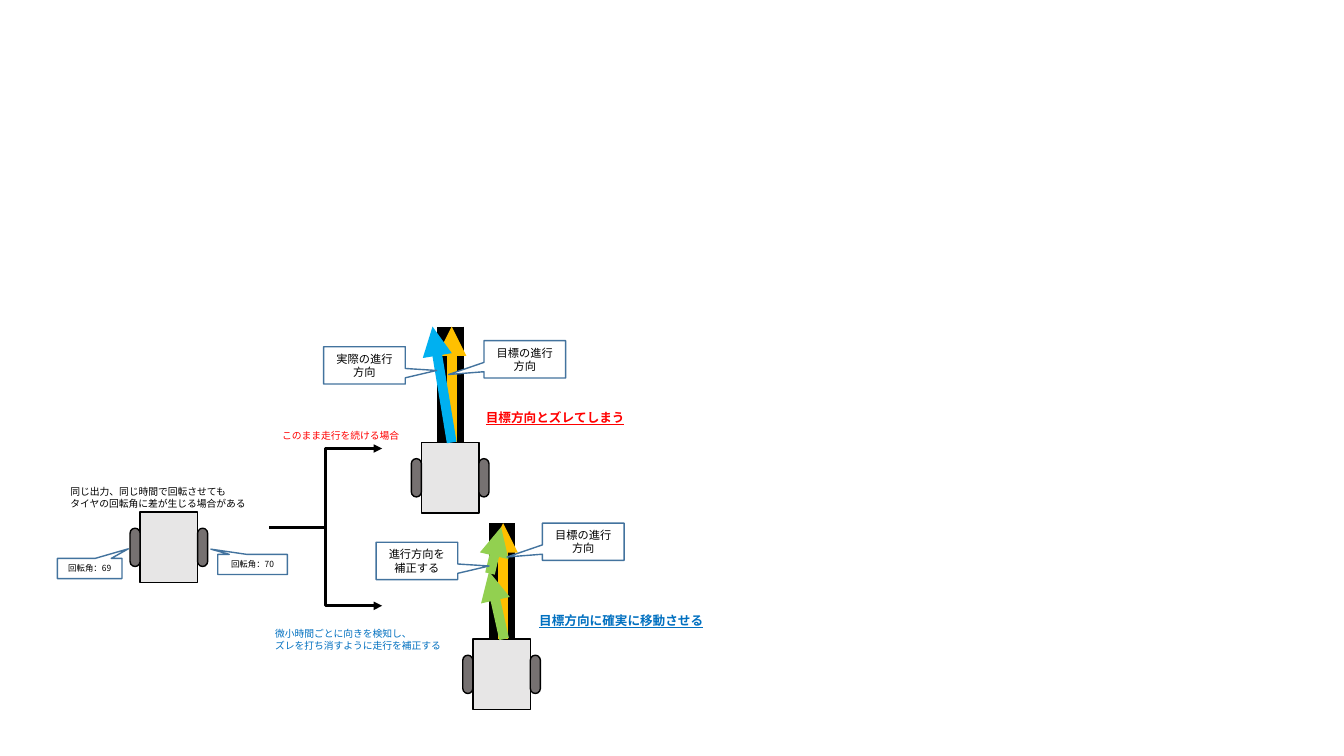
from dataclasses import dataclass

from lxml.etree import SubElement
from pptx import Presentation
from pptx.dml.color import RGBColor
from pptx.enum.shapes import MSO_CONNECTOR, MSO_SHAPE
from pptx.enum.text import MSO_ANCHOR, MSO_AUTO_SIZE, PP_ALIGN
from pptx.oxml.ns import qn
from pptx.util import Inches, Pt


@dataclass(frozen=True)
class Theme:
    """Colours, font and type sizes of the slide."""

    font: str = "Noto Sans CJK JP"
    black: str = "000000"
    white: str = "FFFFFF"
    body: str = "E7E6E6"
    wheel: str = "767171"
    callout: str = "43739E"
    target: str = "FFC000"
    actual: str = "00B0F0"
    corrected: str = "92D050"
    bad: str = "FF0000"
    good: str = "0070C0"
    angle_size: int = 6
    note_size: int = 7
    callout_size: int = 8
    result_size: int = 9
    outline: int = 1
    branch: int = 2
    arrow: int = 7
    course: int = 19


THEME = Theme()


def format_text(frame, size, color, strong=False):
    """Format every run of a text frame."""
    for para in frame.paragraphs:
        for span in para.runs:
            font = span.font
            font.name = THEME.font
            font.size = Pt(size)
            font.color.rgb = RGBColor.from_string(color)
            if strong:
                font.bold = font.underline = True
            SubElement(font._element, qn("a:ea")).set("typeface", THEME.font)


def add_note(page, box, text, size, color, strong=False, wrap=False):
    """Place a free-standing text in its box."""
    frame = page.shapes.add_textbox(*map(Inches, box)).text_frame
    frame.text = text
    frame.word_wrap = wrap
    frame.auto_size = MSO_AUTO_SIZE.SHAPE_TO_FIT_TEXT
    format_text(frame, size, color, strong)


def add_block(shapes, kind, box, fill, outline):
    """Draw a filled and outlined preset shape."""
    block = shapes.add_shape(kind, *map(Inches, box))
    block.shadow.inherit = False
    block.fill.solid()
    block.fill.fore_color.rgb = RGBColor.from_string(fill)
    block.line.color.rgb = RGBColor.from_string(outline)
    block.line.width = Pt(THEME.outline)
    return block


def add_callout(page, box, text, pointer, size=THEME.callout_size):
    """Draw a callout whose pointer is given as shares of its box."""
    callout = add_block(page.shapes, MSO_SHAPE.RECTANGULAR_CALLOUT, box,
                        THEME.white, THEME.callout)
    callout.adjustments[0], callout.adjustments[1] = pointer
    frame = callout.text_frame
    frame.text = text
    frame.word_wrap = True
    frame.vertical_anchor = MSO_ANCHOR.MIDDLE
    frame.paragraphs[0].alignment = PP_ALIGN.CENTER
    format_text(frame, size, THEME.black)


def add_line(page, start, end, color, width, arrow=True,
             kind=MSO_CONNECTOR.STRAIGHT):
    """Draw a connector, with an arrowhead at its end if wanted."""
    line = page.shapes.add_connector(kind, *map(Inches, (*start, *end)))
    line.line.color.rgb = RGBColor.from_string(color)
    line.line.width = Pt(width)
    properties = line._element.spPr
    if arrow:
        head = SubElement(properties.find(qn("a:ln")), qn("a:tailEnd"))
        head.set("type", "triangle")
    SubElement(properties, qn("a:effectLst"))


def add_robot(page, left, top):
    """Draw a robot body between its two wheels as one group."""
    parts = page.shapes.add_group_shape().shapes
    add_block(parts, MSO_SHAPE.RECTANGLE, (left + 0.1, top, 0.57, 0.7),
              THEME.body, THEME.black)
    for offset in (0, 0.67):
        wheel = add_block(parts, MSO_SHAPE.ROUNDED_RECTANGLE,
                          (left + offset, top + 0.16, 0.1, 0.38),
                          THEME.wheel, THEME.black)
        wheel.adjustments[0] = 0.5


def add_problem(page, left, top):
    """Show the robot whose wheels turn by different angles."""
    add_robot(page, left + 0.72, top + 0.31)
    add_note(page, (left + 0.03, top, 1.97, 0.34),
             "同じ出力、同じ時間で回転させても\nタイヤの回転角に差が生じる場合がある",
             THEME.note_size, THEME.black)
    add_callout(page, (left + 1.59, top + 0.73, 0.69, 0.2), "回転角：70",
                (-0.599, -0.759), THEME.angle_size)
    add_callout(page, (left, top + 0.77, 0.64, 0.2), "回転角：69",
                (0.599, -0.978), THEME.angle_size)


def add_branches(page, left, middle):
    """Split the flow into the uncorrected and the corrected case."""
    for rise in (0.78, -0.78):
        add_line(page, (left, middle), (left + 1.12, middle + rise),
                 THEME.black, THEME.branch, kind=MSO_CONNECTOR.ELBOW)
    add_note(page, (left + 0.03, middle - 1.02, 1.38, 0.22),
             "このまま走行を続ける場合", THEME.note_size, THEME.bad)
    add_note(page, (left - 0.04, middle + 0.95, 2.08, 0.34),
             "微小時間ごとに向きを検知し、\vズレを打ち消すように走行を補正する",
             THEME.note_size, THEME.good, wrap=True)


def add_run(page, left, top, moves, color, target_at, move_at, move_text):
    """Show a robot on its course with target and real directions."""
    add_line(page, (left + 0.39, top), (left + 0.39, top + 1.47),
             THEME.black, THEME.course, arrow=False)
    add_robot(page, left, top + 1.15)
    add_line(page, (left + 0.4, top + 1.15), (left + 0.4, top),
             THEME.target, THEME.arrow)
    for x1, y1, x2, y2 in moves:
        add_line(page, (left + x1, top + y1), (left + x2, top + y2),
                 color, THEME.arrow)
    for (x, y), text, pointer in (
        (target_at, "目標の進行方向", (-0.933, 0.408)),
        (move_at, move_text, (0.884, 0.137)),
    ):
        add_callout(page, (left + x, top + y, 0.81, 0.37), text, pointer)


def main():
    """Build and save the slide."""
    deck = Presentation()
    deck.slide_width, deck.slide_height = Inches(13.33), Inches(7.5)
    page = deck.slides.add_slide(deck.slide_layouts[6])
    add_problem(page, 0.57, 4.77)
    add_run(page, 4.08, 3.24, [(0.4, 1.15, 0.21, 0)], THEME.actual,
            (0.72, 0.14), (-0.87, 0.2), "実際の進行方向")
    add_run(page, 4.59, 5.19,
            [(0.41, 1.15, 0.26, 0.48), (0.27, 0.5, 0.38, 0.04)],
            THEME.corrected, (0.79, 0), (-0.86, 0.19), "進行方向を補正する")
    add_branches(page, 2.67, 5.23)
    add_note(page, (4.72, 4.02, 1.59, 0.25), "目標方向とズレてしまう",
             THEME.result_size, THEME.bad, strong=True)
    add_note(page, (5.25, 6.03, 1.84, 0.25), "目標方向に確実に移動させる",
             THEME.result_size, THEME.good, strong=True)
    deck.save("out.pptx")


if __name__ == "__main__":
    main()
